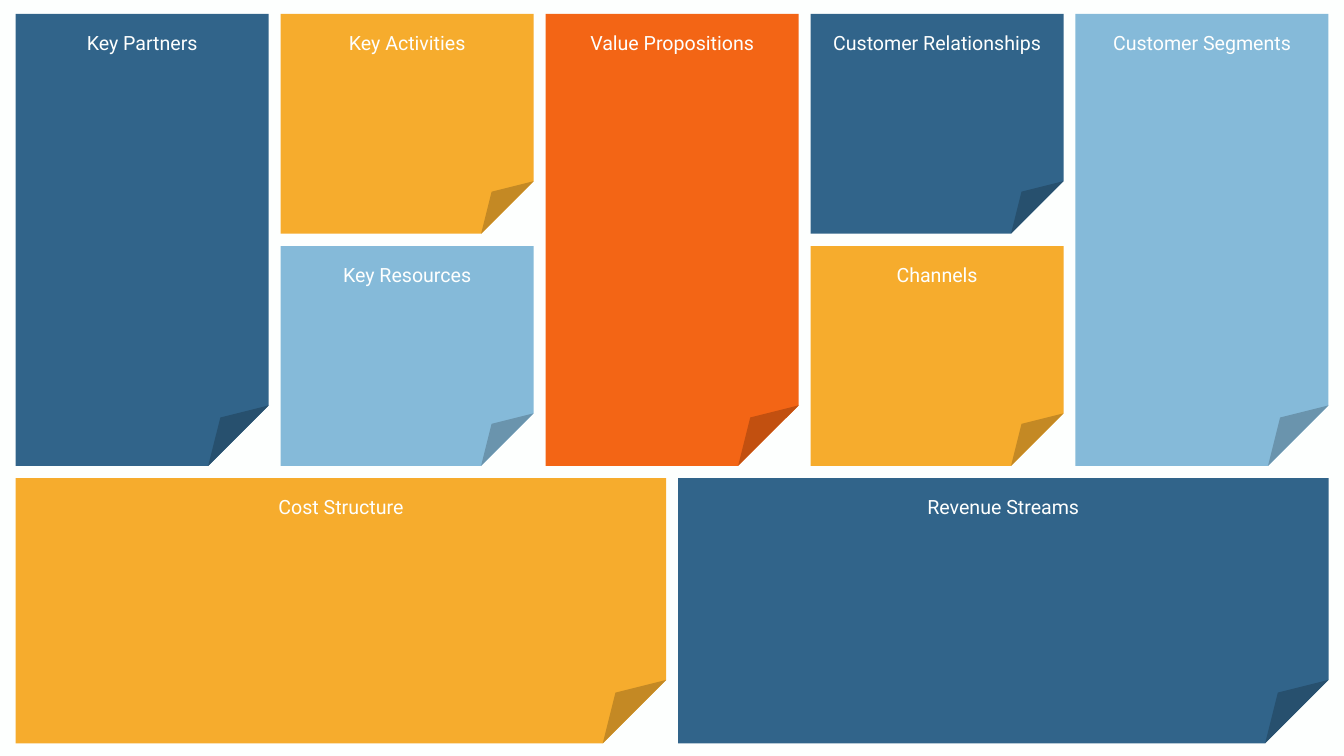
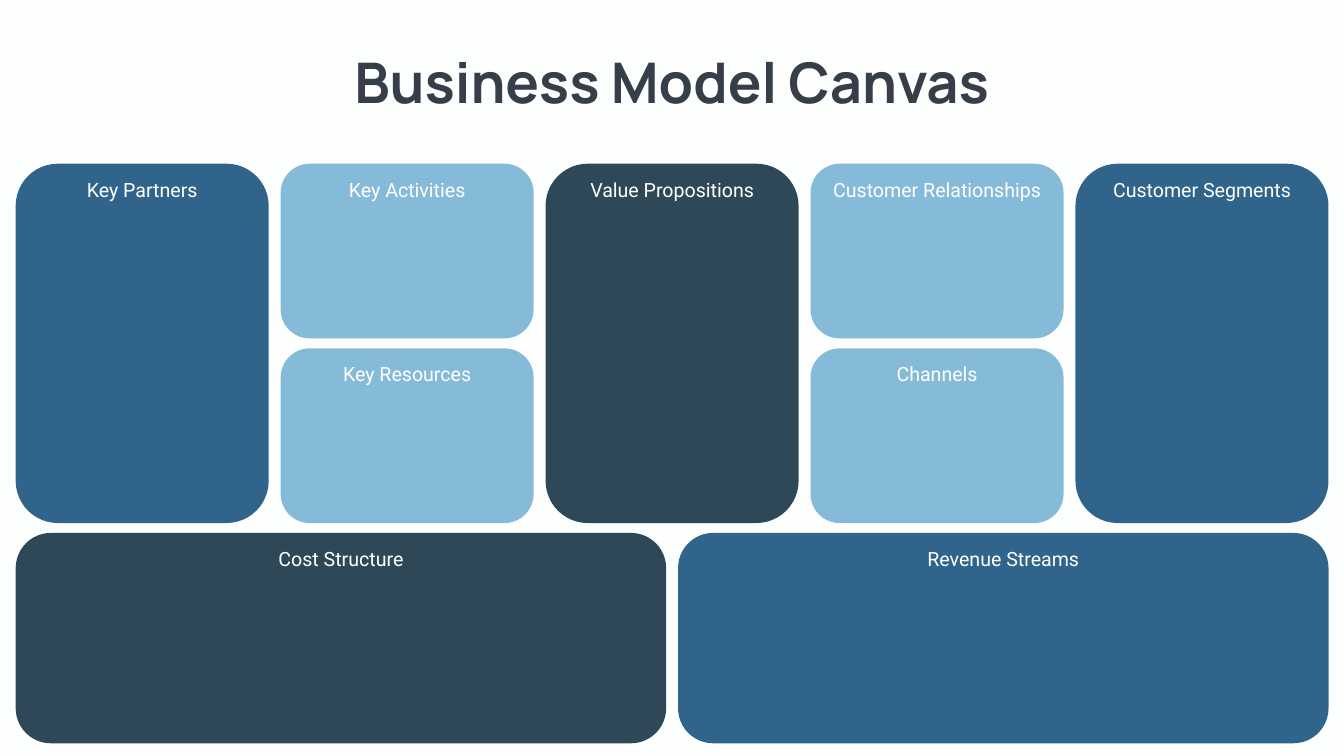
import dataclasses

import lxml.etree
import pptx
import pptx.dml.color
import pptx.enum.shapes
import pptx.enum.text
import pptx.oxml.ns
import pptx.util

Cm = pptx.util.Cm
SHAPE = pptx.enum.shapes.MSO_SHAPE
ANCHOR = pptx.enum.text.MSO_ANCHOR


@dataclasses.dataclass(frozen=True)
class Theme:
    background: str = "FDFFFE"
    white: str = "FEFFFE"
    ink: str = "353E49"
    blue: str = "31648A"
    sky: str = "85BAD9"
    slate: str = "2F4857"
    amber: str = "F6AC2D"
    orange: str = "F36515"
    label_font: str = "Roboto"
    label_size: int = 28
    title_font: str = "Manrope"
    title_size: int = 80


THEME = Theme()

# Label, row slot, column, label width in cm
BLOCKS = [
    ("Key Partners", "tall", 0, 6.91),
    ("Key Activities", "upper", 1, 7.59),
    ("Key Resources", "lower", 1, 8.23),
    ("Value Propositions", "tall", 2, 9.98),
    ("Customer Relationships", "upper", 3, 12.7),
    ("Channels", "lower", 3, 6.91),
    ("Customer Segments", "tall", 4, 12.01),
    ("Cost Structure", "bottom", 0, 9.83),
    ("Revenue Streams", "bottom", 1, 9.78),
]

CANVASES = [
    {
        "title": None,
        "shape": SHAPE.FOLDED_CORNER,
        "fold": 23900,
        "colours": [THEME.blue, THEME.amber, THEME.sky, THEME.orange, THEME.blue,
                    THEME.amber, THEME.sky, THEME.amber, THEME.blue],
        "top": 0.7, "tall": 22.78, "row_gap": 0.62,
        "label_drop": 0.72, "label_height": 1.45,
    },
    {
        "title": "Business Model Canvas",
        "shape": SHAPE.FLOWCHART_ALTERNATE_PROCESS,
        "fold": None,
        "colours": [THEME.blue, THEME.sky, THEME.sky, THEME.slate, THEME.sky,
                    THEME.sky, THEME.blue, THEME.slate, THEME.blue],
        "top": 8.25, "tall": 18.11, "row_gap": 0.5,
        "label_drop": 0.58, "label_height": 1.14,
    },
]

PAGE_WIDTH, PAGE_HEIGHT = 67.72, 38.1
LEFT, RIGHT, BOTTOM = 0.79, 66.94, 37.46
COLUMN_GAP = 0.6
TITLE_PLACE = (16.38, 2.24, 34.95, 3.68)


def colour(value):
    return pptx.dml.color.RGBColor.from_string(value)


def block_place(canvas, slot, column):
    """Return left, top, width and height of one block in cm."""
    top, tall, gap = canvas["top"], canvas["tall"], canvas["row_gap"]
    short = (tall - gap) / 2
    bottom_top = top + tall + gap
    row_top, height = {
        "tall": (top, tall),
        "upper": (top, short),
        "lower": (top + short + gap, short),
        "bottom": (bottom_top, BOTTOM - bottom_top),
    }[slot]
    columns = 2 if slot == "bottom" else 5
    width = (RIGHT - LEFT - (columns - 1) * COLUMN_GAP) / columns
    return LEFT + column * (width + COLUMN_GAP), row_top, width, height


def set_fold(block, fold):
    """Set the corner size, which python-pptx does not offer for this shape."""
    qn = pptx.oxml.ns.qn
    guides = next(block._element.iter(qn("a:avLst")))
    for guide in list(guides):
        guides.remove(guide)
    lxml.etree.SubElement(guides, qn("a:gd"), name="adj", fmla=f"val {fold}")


def add_block(page, canvas, place, fill):
    block = page.shapes.add_shape(canvas["shape"], *map(Cm, place))
    block.shadow.inherit = False
    if canvas["fold"] is not None:
        set_fold(block, canvas["fold"])
    block.fill.solid()
    block.fill.fore_color.rgb = colour(fill)
    block.line.fill.background()


def add_text(page, text, place, *, font, size, ink, bold=False, wrap=True,
             anchor=ANCHOR.TOP):
    box = page.shapes.add_textbox(*map(Cm, place))
    frame = box.text_frame
    frame.word_wrap = wrap
    frame.auto_size = pptx.enum.text.MSO_AUTO_SIZE.SHAPE_TO_FIT_TEXT
    frame.vertical_anchor = anchor
    para = frame.paragraphs[0]
    para.alignment = pptx.enum.text.PP_ALIGN.CENTER
    span = para.add_run()
    span.text = text
    span.font.name = font
    span.font.size = pptx.util.Pt(size)
    span.font.bold = bold
    span.font.color.rgb = colour(ink)


def add_canvas(deck, canvas):
    page = deck.slides.add_slide(deck.slide_layouts[6])
    page.background.fill.solid()
    page.background.fill.fore_color.rgb = colour(THEME.background)

    places = [block_place(canvas, slot, column) for _, slot, column, _ in BLOCKS]
    for place, fill in zip(places, canvas["colours"]):
        add_block(page, canvas, place, fill)
    for (label, _, _, label_width), (left, top, width, _) in zip(BLOCKS, places):
        label_place = (left + (width - label_width) / 2, top + canvas["label_drop"],
                       label_width, canvas["label_height"])
        add_text(page, label, label_place, font=THEME.label_font,
                 size=THEME.label_size, ink=THEME.white)
    if canvas["title"]:
        add_text(page, canvas["title"], TITLE_PLACE, font=THEME.title_font,
                 size=THEME.title_size, ink=THEME.ink, bold=True, wrap=False,
                 anchor=ANCHOR.MIDDLE)


def main():
    deck = pptx.Presentation()
    deck.slide_width, deck.slide_height = Cm(PAGE_WIDTH), Cm(PAGE_HEIGHT)
    for canvas in CANVASES:
        add_canvas(deck, canvas)
    deck.save("out.pptx")


if __name__ == "__main__":
    main()
